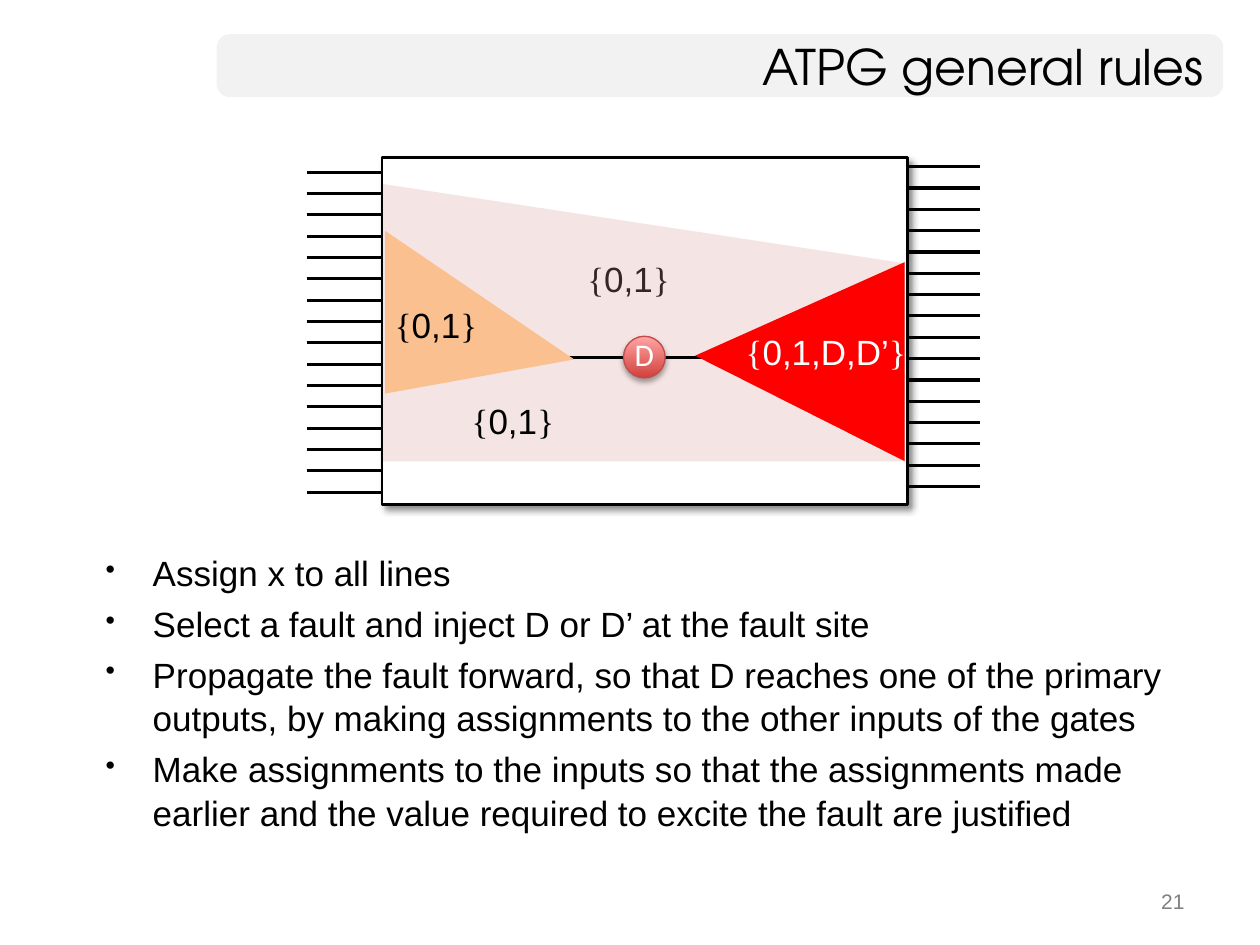
from dataclasses import dataclass
from itertools import groupby

from lxml.etree import SubElement as Sub
from pptx import Presentation
from pptx.dml.color import RGBColor as Rgb
from pptx.enum.shapes import MSO_CONNECTOR as Link, MSO_SHAPE as Kind
from pptx.enum.text import MSO_ANCHOR as Anchor, MSO_AUTO_SIZE as Fit, PP_ALIGN as Align
from pptx.oxml.ns import qn
from pptx.util import Cm, Pt

HUES = {
    "black": "000000", "white": "FFFFFF", "panel": "F2F2F2", "gray": "808080",
    "pink": "D99694", "orange": "FAC090", "red": "FF0000",
    "dark": "D1403C", "light": "FFA6A5", "rim": "BF4C48",
}


@dataclass
class Box:
    x: float
    y: float
    w: float
    h: float

    def size(self) -> tuple:
        return Cm(self.x), Cm(self.y), Cm(self.w), Cm(self.h)


@dataclass
class Label:
    text: str
    box: Box
    hue: str = "black"
    wrap: bool = False


@dataclass
class Pins:
    x: float
    y: float
    count: int = 16
    gap: float = 0.43
    long: float = 2.34


def tint(name: str) -> Rgb:
    return Rgb.from_string(HUES[name])


def write(frame, text, *, size=20, hue="black", font="Arial", align=Align.CENTER,
          anchor=Anchor.MIDDLE, wrap=True, bullet=False, space=0.0, lead=None) -> None:
    frame.word_wrap = wrap
    frame.vertical_anchor = anchor
    for i, line in enumerate(text.split("\n")):
        para = frame.add_paragraph() if i else frame.paragraphs[0]
        para.alignment = align
        para.space_before = Pt(space if i else 0)
        if lead:
            para.line_spacing = lead
        if bullet:
            props = para._p.get_or_add_pPr()
            props.set("marL", str(Cm(0.95)))
            props.set("indent", str(-Cm(0.95)))
            Sub(props, qn("a:buSzPct"), val="80000")
            Sub(props, qn("a:buChar"), char="•")
        for brace, part in groupby(line, lambda c: c in "{}"):
            run = para.add_run()
            run.text = "".join(part)
            run.font.name = "Times New Roman" if brace else font
            run.font.size = Pt(size)
            run.font.color.rgb = tint(hue)


def text_box(slide, box: Box, text: str, **style):
    shape = slide.shapes.add_textbox(*box.size())
    write(shape.text_frame, text, **style)
    return shape


def paint(shape, fill: str, rim: str = "", width: float = 1) -> None:
    shape.shadow.inherit = False
    shape.fill.solid()
    shape.fill.fore_color.rgb = tint(fill)
    if rim:
        shape.line.color.rgb = tint(rim)
        shape.line.width = Pt(width)
    else:
        shape.line.fill.background()


def draw(slide, kind, box: Box, fill: str, rim: str = "", width: float = 1,
         turn: float = 0, bend=None):
    shape = slide.shapes.add_shape(kind, *box.size())
    paint(shape, fill, rim, width)
    shape.rotation = turn
    if bend is not None:
        shape.adjustments[0] = bend
    return shape


def shade(shape, alpha: int, blur: float, dist: float, angle: int) -> None:
    glow = Sub(shape._element.spPr.find(qn("a:effectLst")), qn("a:outerShdw"),
               blurRad=str(Pt(blur)), dist=str(Pt(dist)), dir=str(angle * 60000),
               algn="ctr", rotWithShape="0")
    hue = Sub(glow, qn("a:srgbClr"), val=HUES["black"])
    Sub(hue, qn("a:alpha"), val=str(alpha * 1000))


def wire(slide, x: float, y: float, long: float) -> None:
    line = slide.shapes.add_connector(Link.STRAIGHT, Cm(x), Cm(y), Cm(x + long), Cm(y))
    line.line.color.rgb = tint("black")
    line.line.width = Pt(1.75)
    Sub(line._element.spPr, qn("a:effectLst"))


def draw_pins(slide, pins: Pins) -> None:
    for i in range(pins.count):
        wire(slide, pins.x, pins.y + i * pins.gap, pins.long)


def draw_label(slide, label: Label) -> None:
    shape = text_box(slide, label.box, label.text, hue=label.hue, wrap=label.wrap)
    shape.text_frame.auto_size = Fit.SHAPE_TO_FIT_TEXT


def draw_zone(slide) -> None:
    spots = [(7.72, 3.71), (7.72, 9.3), (18.24, 9.3)]
    path = slide.shapes.build_freeform(Cm(18.24), Cm(5.31))
    path.add_line_segments([(Cm(x), Cm(y)) for x, y in spots], close=True)
    zone = path.convert_to_shape()
    paint(zone, "pink")
    hue = zone._element.spPr.find(qn("a:solidFill")).find(qn("a:srgbClr"))
    Sub(hue, qn("a:alpha"), val="25000")


def draw_fault(slide) -> None:
    ball = draw(slide, Kind.OVAL, Box(12.57, 6.78, 0.84, 0.84), "dark", "rim", 0.75)
    ball.fill.gradient()
    ball.fill.gradient_angle = 90
    for stop, name, spot in zip(ball.fill.gradient_stops, ("dark", "light"), (0, 1)):
        stop.color.rgb = tint(name)
        stop.position = spot
    shade(ball, 35, 3.1, 1.8, 90)
    frame = ball.text_frame
    frame.margin_left = frame.margin_right = frame.margin_top = 0
    frame.margin_bottom = Cm(0.13)
    write(frame, "D", size=18, hue="white", font="Calibri")


def draw_circuit(slide) -> None:
    for pins in (Pins(17.42, 3.36), Pins(6.18, 3.47)):
        draw_pins(slide, pins)
    block = draw(slide, Kind.RECTANGLE, Box(7.7, 3.18, 10.59, 6.99), "white", "black", 1.5)
    shade(block, 43, 4, 3, 45)
    draw_label(slide, Label("{0,1}", Box(11.58, 5.05, 2.18, 1.12)))
    draw_zone(slide)
    wire(slide, 11.3, 7.21, 4.85)
    cone = Kind.ISOSCELES_TRIANGLE
    draw(slide, cone, Box(8.03, 4.39, 3.28, 3.81), "orange", turn=90, bend=0.79)
    draw(slide, cone, Box(14.12, 5.18, 4.01, 4.22), "red", turn=270, bend=0.53)
    for label in (
        Label("{0,1,D,D’}", Box(14.73, 6.53, 3.84, 1.12), "white", True),
        Label("{0,1}", Box(7.7, 5.99, 2.18, 1.12)),
        Label("{0,1}", Box(9.25, 7.92, 2.18, 1.12)),
    ):
        draw_label(slide, label)
    draw_fault(slide)


def main() -> None:
    """Build the slide on general rules for test pattern generation."""
    deck = Presentation()
    deck.slide_width, deck.slide_height = Cm(25.4), Cm(19.05)
    slide = deck.slides.add_slide(deck.slide_layouts[6])
    draw(slide, Kind.ROUNDED_RECTANGLE, Box(4.37, 0.69, 20.29, 1.27), "panel", bend=0.21)
    text_box(slide, Box(18.21, 17.78, 5.92, 0.89), "21", size=12, hue="gray",
             align=Align.RIGHT, anchor=Anchor.TOP)
    text_box(slide, Box(4.37, 0.69, 20.14, 1.27), "ATPG general rules", size=28,
             font="TeX Gyre Adventor", align=Align.RIGHT)
    rules = (
        "Assign x to all lines",
        "Select a fault and inject D or D’ at the fault site",
        "Propagate the fault forward, so that D reaches one of the primary outputs, "
        "by making assignments to the other inputs of the gates",
        "Make assignments to the inputs so that the assignments made earlier "
        "and the value required to excite the fault are justified",
    )
    text_box(slide, Box(1.88, 10.97, 22.86, 5.77), "\n".join(rules), bullet=True,
             align=Align.LEFT, anchor=Anchor.TOP, space=4, lead=1.04)
    draw_circuit(slide)
    deck.save("out.pptx")


if __name__ == "__main__":
    main()
